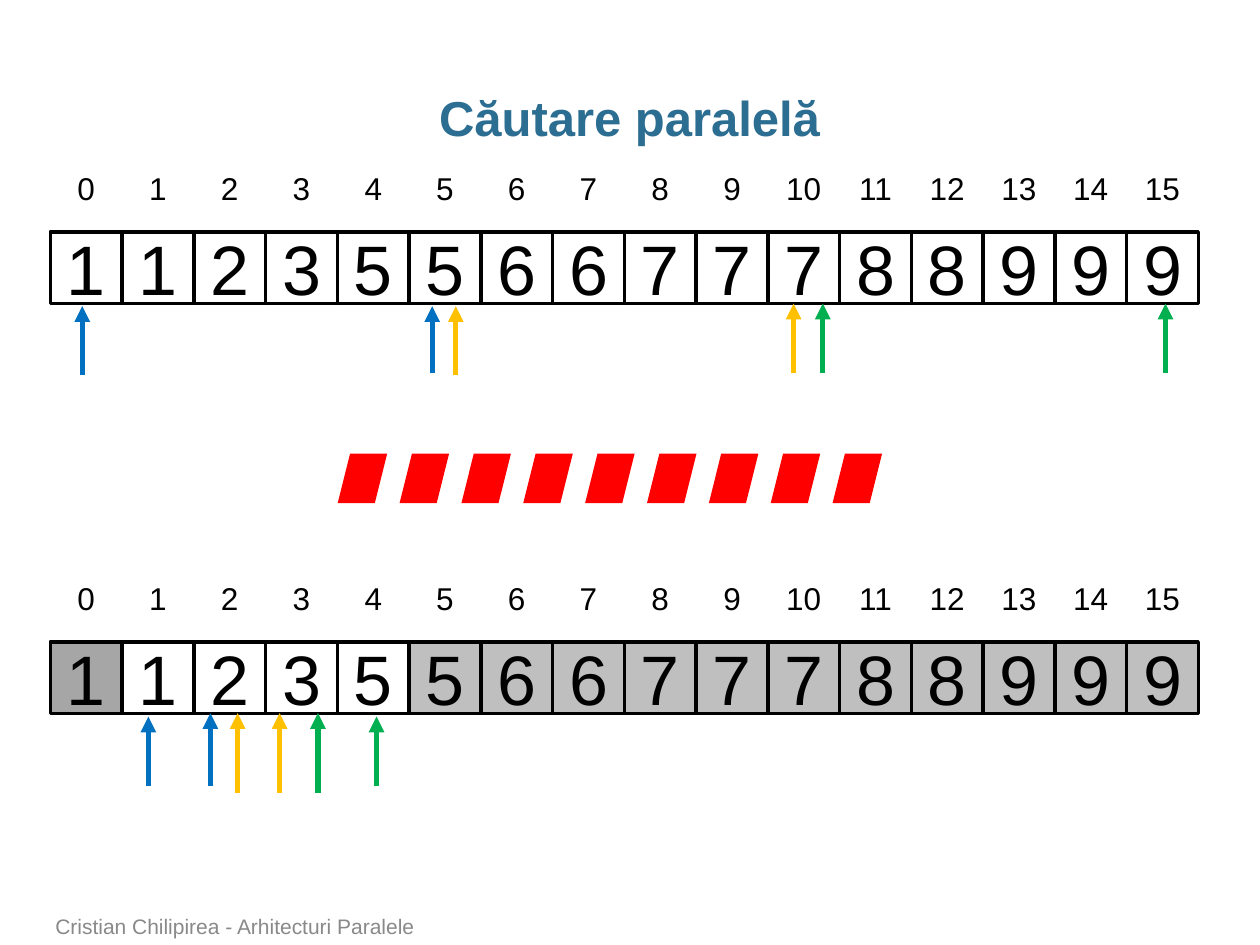
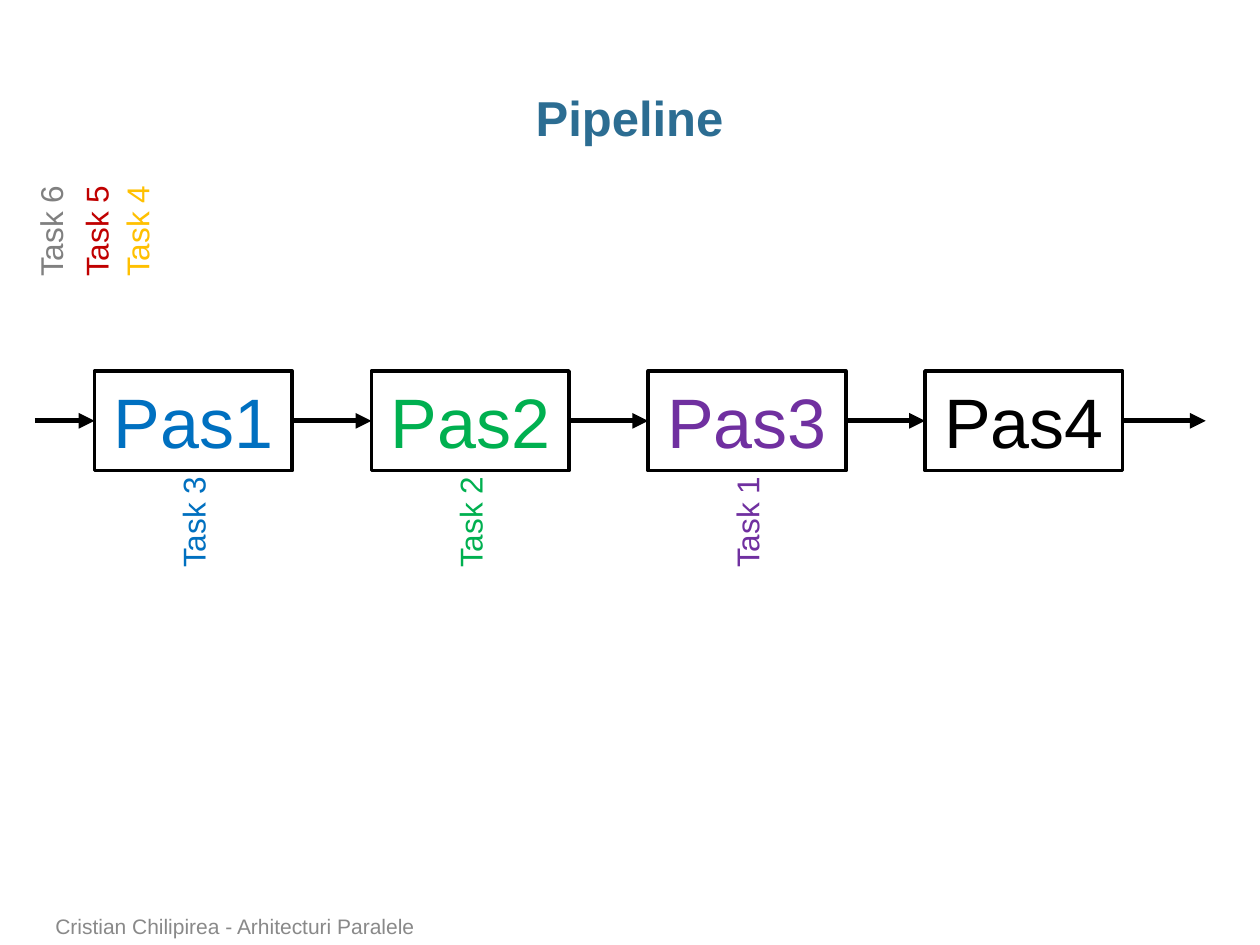
from lxml import etree
from pptx import Presentation
from pptx import util as u
from pptx.dml.color import RGBColor
from pptx.enum import shapes, text
from pptx.oxml import ns

COLORS = {
    "title": "2C6D92", "footer": "898989", "black": "000000",
    "blue": "0070C0", "yellow": "FFC000", "green": "00B050",
    "purple": "7030A0", "dark_red": "C00000", "gray": "808080",
    "red": "FF0000", "checked": "A6A6A6", "excluded": "BFBFBF",
}
FONT = "Arial"
FRAME = {"word_wrap": True, "vertical_anchor": text.MSO_ANCHOR.TOP}
MIDDLE = {"vertical_anchor": text.MSO_ANCHOR.MIDDLE}
CENTERED = {"alignment": text.PP_ALIGN.CENTER}

VALUES = [1, 1, 2, 3, 5, 5, 6, 6, 7, 7, 7, 8, 8, 9, 9, 9]
CELL_LEFT, CELL_SIZE = 28.8, 41
STEP_LEFT, STEP_PITCH = 54, 158.2
STEP_TOP, STEP_WIDTH, STEP_HEIGHT = 212, 113, 57
TASK_WIDTH, TASK_HEIGHT = 67, 29


def rgb(name):
    return RGBColor.from_string(COLORS[name])


def apply(target, values):
    for name, value in values.items():
        setattr(target, name, value)


def points(*lengths):
    return [u.Pt(length) for length in lengths]


def write(shape, words, size, color, frame=None, paragraph_format=None, bold=False):
    apply(shape.text_frame, {**FRAME, **(frame or {})})
    paragraph = shape.text_frame.paragraphs[0]
    paragraph.text = words
    apply(paragraph, paragraph_format or {})
    apply(paragraph.font, {"name": FONT, "size": u.Pt(size), "bold": bold})
    paragraph.font.color.rgb = rgb(color)


def add_label(slide, box, words, size, color, **formats):
    shape = slide.shapes.add_textbox(*points(*box))
    write(shape, words, size, color, **formats)
    return shape


def add_figure(slide, kind, box, fill=None, line=None):
    shape = slide.shapes.add_shape(kind, *points(*box))
    shape.shadow.inherit = False
    if fill:
        shape.fill.solid()
        shape.fill.fore_color.rgb = rgb(fill)
    else:
        shape.fill.background()
    if line:
        shape.line.color.rgb = rgb(line)
        shape.line.width = u.Pt(2)
    else:
        shape.line.fill.background()
    return shape


def add_box(slide, box, words, color="black", fill=None):
    shape = add_figure(slide, shapes.MSO_SHAPE.RECTANGLE, box, fill, "black")
    write(shape, words, 40, color, MIDDLE, CENTERED)


def add_arrow(slide, start, end, color):
    arrow = slide.shapes.add_connector(
        shapes.MSO_CONNECTOR.STRAIGHT, *points(*start, *end))
    arrow.line.color.rgb = rgb(color)
    arrow.line.width = u.Pt(3)
    etree.SubElement(arrow.line._get_or_add_ln(), ns.qn("a:tailEnd"), type="triangle")
    etree.SubElement(arrow._element.spPr, ns.qn("a:effectLst"))


def add_array(slide, top, fills):
    for index, value in enumerate(VALUES):
        left = CELL_LEFT + index * CELL_SIZE
        add_box(slide, (left, top, CELL_SIZE, CELL_SIZE), str(value), fill=fills[index])
        add_label(slide, (left, top - 39.6, CELL_SIZE, 29), str(index), 18, "black",
                  frame={"word_wrap": False}, paragraph_format=CENTERED)


def add_task(slide, number, center_x, center_y, color):
    box = (center_x - TASK_WIDTH / 2, center_y - TASK_HEIGHT / 2, TASK_WIDTH, TASK_HEIGHT)
    label = add_label(slide, box, f"Task {number}", 18, color, frame={"word_wrap": False})
    label.rotation = 270


def add_slide(presentation, title):
    slide = presentation.slides.add_slide(presentation.slide_layouts[6])
    add_label(slide, (24.5, 49, 670.5, 36), title, 28, "title", bold=True,
              frame={"margin_left": 0, "margin_right": 0},
              paragraph_format={**CENTERED, "line_spacing": 0.95})
    add_label(slide, (24.5, 520, 530.5, 20), "Cristian Chilipirea - Arhitecturi Paralele",
              12, "footer", frame={"vertical_anchor": text.MSO_ANCHOR.BOTTOM})
    return slide


def build_search(presentation):
    slide = add_slide(presentation, "Căutare paralelă")
    add_array(slide, 132.5, [None] * 16)
    add_array(slide, 366.8, ["checked"] + [None] * 4 + ["excluded"] * 11)
    bounds = [
        (47, 214.5, 175, "blue"), (247, 213, 175, "blue"),
        (260.5, 214.5, 175, "yellow"), (453.5, 213, 173.5, "yellow"),
        (470.2, 213, 173.5, "green"), (666, 213, 173.5, "green"),
        (84.8, 449, 409.5, "blue"), (120.2, 449, 407.5, "blue"),
        (135.8, 453, 407.5, "yellow"), (159.8, 453, 407.5, "yellow"),
        (181.7, 453, 407.5, "green"), (215.2, 449, 409.5, "green"),
    ]
    for x, bottom, top, color in bounds:
        add_arrow(slide, (x, bottom), (x, top), color)
    for index in range(9):
        add_figure(slide, shapes.MSO_SHAPE.PARALLELOGRAM,
                   (193 + index * 35.35, 259.2, 28.3, 28.3), fill="red")


def build_pipeline(presentation):
    slide = add_slide(presentation, "Pipeline")
    middle = STEP_TOP + STEP_HEIGHT / 2
    arrow_start = 20
    for index, color in enumerate(["blue", "green", "purple", "black"]):
        left = STEP_LEFT + index * STEP_PITCH
        add_box(slide, (left, STEP_TOP, STEP_WIDTH, STEP_HEIGHT), f"Pas{index + 1}", color)
        add_arrow(slide, (arrow_start, middle), (left, middle), "black")
        arrow_start = left + STEP_WIDTH
        if index < 3:
            add_task(slide, 3 - index, left + STEP_WIDTH / 2, 298, color)
    add_arrow(slide, (arrow_start, middle), (689, middle), "black")
    for number, x, color in [(4, 78.3, "yellow"), (5, 55, "dark_red"), (6, 29, "gray")]:
        add_task(slide, number, x, 131.8, color)


def main():
    presentation = Presentation()
    apply(presentation, {"slide_width": u.Pt(720), "slide_height": u.Pt(540)})
    build_search(presentation)
    build_pipeline(presentation)
    presentation.save("out.pptx")


if __name__ == "__main__":
    main()
